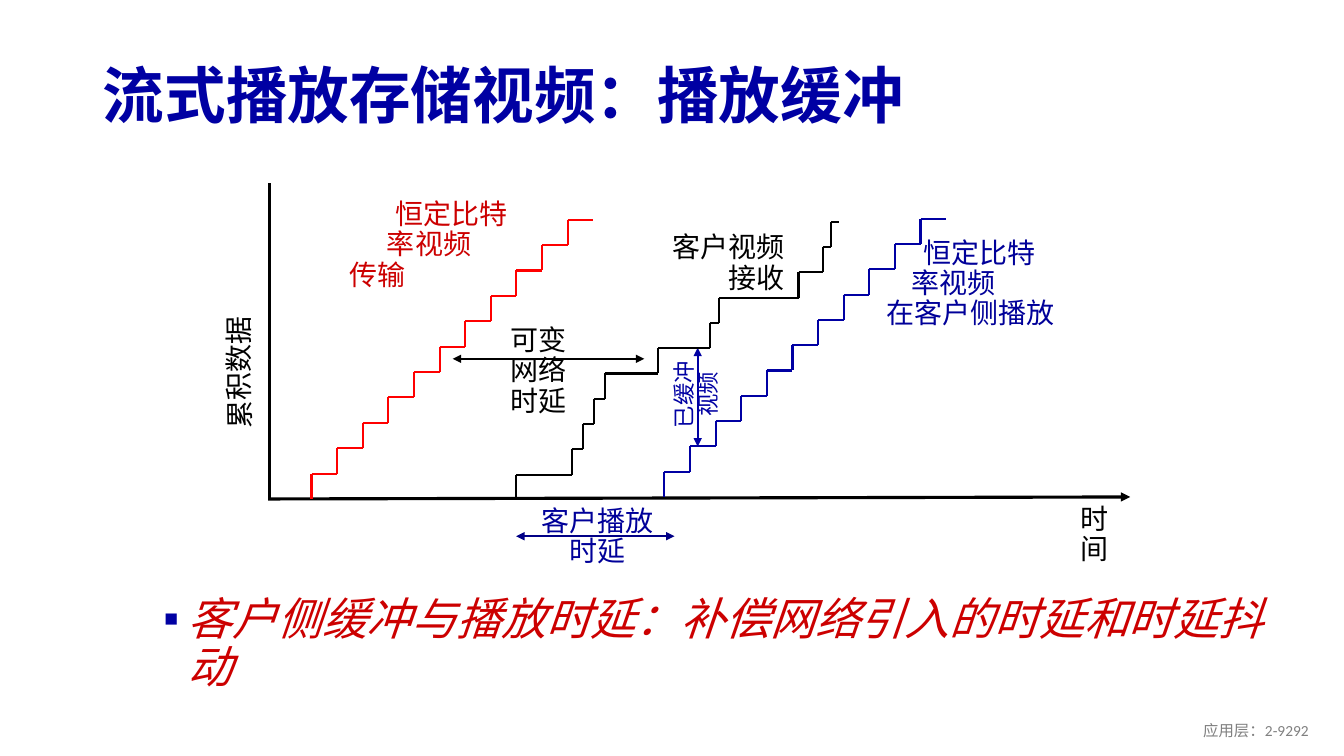
from itertools import pairwise

from lxml import etree
from pptx import Presentation
from pptx.dml.color import RGBColor
from pptx.enum import shapes, text
from pptx.oxml.ns import qn
from pptx.util import Inches, Pt

BLACK, RED, CRIMSON, GREY = "000000", "FF0000", "CC0000", "808080"
NAVY, LABEL_BLUE, DELAY_BLUE = "0000A3", "000099", "010086"
LEFT, CENTER, RIGHT = text.PP_ALIGN.LEFT, text.PP_ALIGN.CENTER, text.PP_ALIGN.RIGHT

# Content: lengths in inches
HEADING = "流式播放存储视频：播放缓冲"
TAKEAWAY = "客户侧缓冲与播放时延：补偿网络引入的时延和时延抖动"
STEPS = 11
CONSTANT_RATE = [0.254] * STEPS
NETWORK_RATE = [0.55, 0.11, 0.11, 0.11, 0.53, 0.51, 0.09, 0.79, 0.24, 0.08, 0.08]

# Staircases: start x, bottom, top, colour, step widths
STAIRS = [
    (3.09, 4.95, 2.18, RED, CONSTANT_RATE),
    (5.12, 4.96, 2.20, BLACK, NETWORK_RATE),
    (6.59, 4.93, 2.17, NAVY, CONSTANT_RATE),
]
# Axes and delay arrows: start, end, colour, width, arrowheads
RULES = [
    ((2.67, 1.82), (2.67, 4.94), BLACK, 2.25, ()),
    ((11.21, 4.93), (2.66, 4.95), BLACK, 2.25, ("headEnd",)),
    ((4.49, 3.56), (6.39, 3.56), BLACK, 1.5, ("headEnd", "tailEnd")),
    ((5.12, 5.32), (6.69, 5.32), DELAY_BLUE, 1.5, ("headEnd", "tailEnd")),
    ((6.92, 4.43), (6.92, 3.45), NAVY, 1.5, ("headEnd", "tailEnd")),
]
# Labels: box, (line, indent) pairs, size, colour, alignment, rotation
LABELS = [
    ((3.37, 1.94, 2.06, 1.01), [("恒定比特", 0.45), ("率视频", 0.37), ("传输", 0)],
     20, CRIMSON, LEFT, 0),
    ((1.31, 3.08, 2.14, 0.4), [("累积数据", 0)], 20, BLACK, LEFT, 269.4),
    ((10.62, 4.96, 0.73, 0.4), [("时间", 0)], 20, BLACK, LEFT, 0),
    ((4.77, 3.19, 1.15, 1.01), [("可变", 0), ("网络", 0), ("时延", 0)],
     20, BLACK, CENTER, 0),
    ((6.36, 2.27, 1.52, 0.71), [("客户视频", 0), ("接收", 0)], 20, BLACK, RIGHT, 0),
    ((8.63, 2.32, 2.1, 1.01), [("恒定比特", 0.43), ("率视频", 0.31), ("在客户侧播放", 0.06)],
     20, LABEL_BLUE, LEFT, 0),
    ((5.01, 4.98, 1.84, 0.71), [("客户播放", 0), ("时延", 0)], 20, LABEL_BLUE, CENTER, 0),
    ((6.43, 3.62, 0.98, 0.59), [("已缓冲", 0), ("视频", 0)], 16, NAVY, CENTER, 270),
]
PAGE_MARK = ((10.08, 7.05, 3, 0.4), [("应用层：2-9292", 0)], 11, GREY, RIGHT, 0)


def color(hex_code):
    return RGBColor.from_string(hex_code)


def place(shape, box):
    shape.left, shape.top, shape.width, shape.height = map(Inches, box)


def style(paragraph, size, hex_code, align=LEFT, spacing=0.9):
    paragraph.alignment = align
    paragraph.line_spacing = spacing
    paragraph.space_before = Pt(0)
    paragraph.font.name = "Calibri"
    paragraph.font.size = Pt(size)
    paragraph.font.color.rgb = color(hex_code)


def draw_line(slide, start, end, hex_code, width=1.5, heads=()):
    line = slide.shapes.add_connector(
        shapes.MSO_CONNECTOR.STRAIGHT, *map(Inches, (*start, *end)))
    line.line.color.rgb = color(hex_code)
    line.line.width = Pt(width)
    for head in heads:
        etree.SubElement(line.line._get_or_add_ln(), qn(f"a:{head}"), type="triangle")
    etree.SubElement(line._element.spPr, qn("a:effectLst"))


def draw_stairs(slide, x, bottom, top, hex_code, widths):
    rise = (bottom - top) / STEPS
    corners = [(x, bottom)]
    for step, width in enumerate(widths, 1):
        y = bottom - step * rise
        corners += [(x, y), (x + width, y)]
        x += width
    for start, end in pairwise(corners):
        draw_line(slide, start, end, hex_code)


def add_label(slide, box, lines, size, hex_code, align, rotation, spacing=0.9):
    label = slide.shapes.add_textbox(*map(Inches, box))
    label.rotation = rotation
    frame = label.text_frame
    frame.word_wrap = True
    frame.text = "\n".join(line for line, _ in lines)
    for paragraph, (_, indent) in zip(frame.paragraphs, lines):
        if indent:
            paragraph._p.get_or_add_pPr().set("marL", str(Inches(indent)))
        style(paragraph, size, hex_code, align, spacing)
    return frame


def add_bullet(paragraph, char, hex_code, left, hanging):
    props = paragraph._p.get_or_add_pPr()
    props.set("marL", str(Inches(left)))
    props.set("indent", str(-Inches(hanging)))
    bullet_color = etree.SubElement(props, qn("a:buClr"))
    etree.SubElement(bullet_color, qn("a:srgbClr"), val=hex_code)
    etree.SubElement(props, qn("a:buFont"), typeface="Arial")
    etree.SubElement(props, qn("a:buChar"), char=char)


def main():
    deck = Presentation()
    deck.slide_width, deck.slide_height = Inches(13.33), Inches(7.5)
    slide = deck.slides.add_slide(deck.slide_layouts[1])

    # Title and takeaway
    title, body = slide.placeholders
    place(title, (0.92, 0.49, 11.5, 0.98))
    title.text_frame.text = HEADING
    title.text_frame.vertical_anchor = text.MSO_ANCHOR.MIDDLE
    heading = title.text_frame.paragraphs[0]
    style(heading, 44, NAVY)
    heading.font.bold = True

    place(body, (1.37, 5.87, 11.5, 0.97))
    body.text_frame.text = TAKEAWAY
    takeaway = body.text_frame.paragraphs[0]
    add_bullet(takeaway, "▪", NAVY, 0.39, 0.24)
    style(takeaway, 32, CRIMSON)
    takeaway.font.italic = True

    # Chart of cumulative data over time
    for rule in RULES:
        draw_line(slide, *rule)
    for stairs in STAIRS:
        draw_stairs(slide, *stairs)
    for label in LABELS:
        add_label(slide, *label)

    # Page mark
    mark = add_label(slide, *PAGE_MARK, spacing=1.0)
    mark.vertical_anchor = text.MSO_ANCHOR.MIDDLE

    deck.save("out.pptx")


if __name__ == "__main__":
    main()
